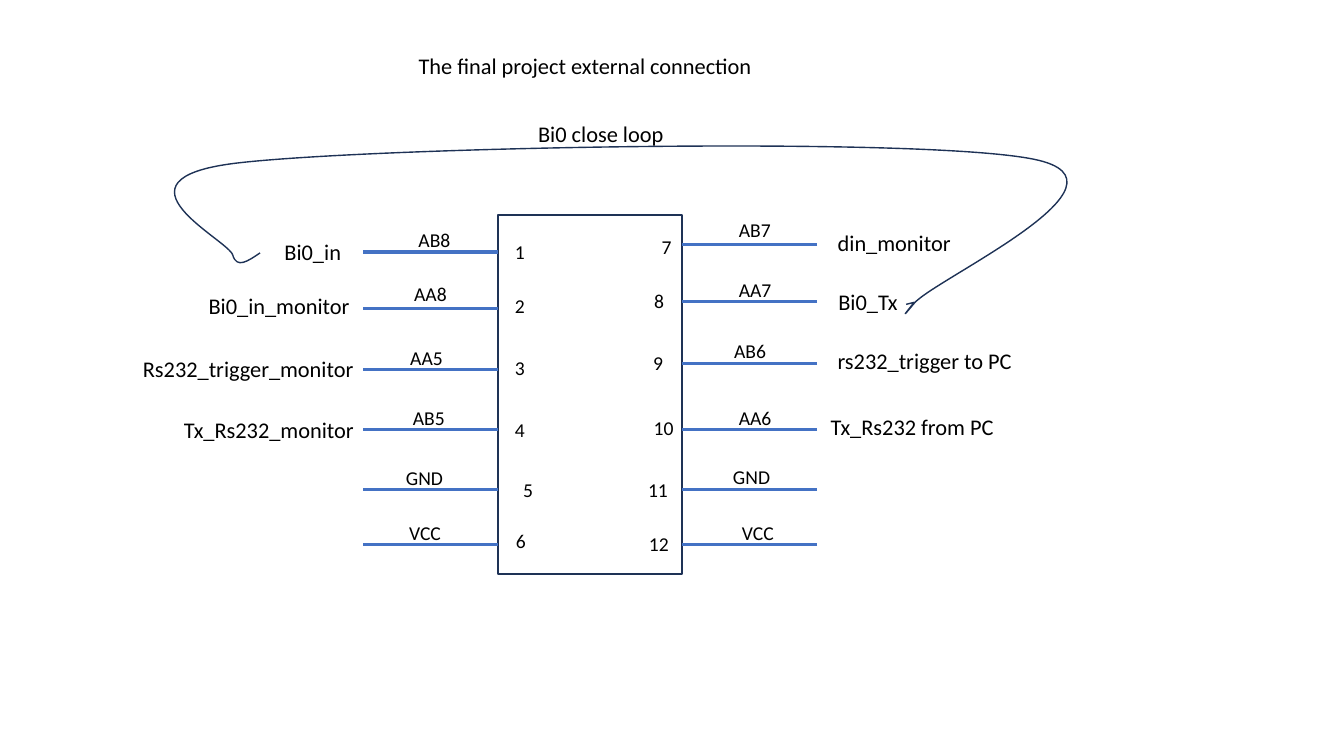
from collections import namedtuple

from lxml import etree
from pptx import Presentation
from pptx.dml.color import RGBColor
from pptx.enum.shapes import MSO_CONNECTOR as CONN, MSO_SHAPE as SHAPE
from pptx.enum.text import MSO_ANCHOR as ANCHOR, MSO_AUTO_SIZE as AUTO, PP_ALIGN as ALIGN
from pptx.oxml.ns import qn
from pptx.util import Pt

NAVY = RGBColor(0x1E, 0x32, 0x56)
BLUE = RGBColor(0x44, 0x72, 0xC4)
BLACK = RGBColor(0, 0, 0)
FONT = "Calibri"
WIRE_LENGTH = 96.2

Box = namedtuple("Box", "left top width height")
# number, code and signal hold (text, x, y[, width]),
# with x from the chip's edge and y from the wire
Pin = namedtuple("Pin", "wire_y number code signal", defaults=[None])

LEFT_PINS = [
    Pin(26.2, ("1", 5, -12.2), ("AB8", -63.9, -20.9), ("Bi0_in", -159.6, -13.7, 55.4)),
    Pin(66.5, ("2", 5, -14), ("AA8", -67, -22.3), ("Bi0_in_monitor", -213.8, -15.1, 116.6)),
    Pin(110.4, ("3", 5, -13.4), ("AA5", -69.8, -20.9), ("Rs232_trigger_monitor", -260.7, -14.4, 167)),
    Pin(152.9, ("4", 5, -11.7), ("AB5", -67.9, -20.2), ("Tx_Rs232_monitor", -231.4, -13, 141.1)),
    Pin(196.1, ("5", 11, -12.2), ("GND", -72.8, -20.9)),
    Pin(235, ("6", 5.8, -14.7), ("VCC", -70.6, -20.2)),
]
RIGHT_PINS = [
    Pin(20.9, ("7", -21.9, -10.6), ("AB7", 33.1, -22.8), ("din_monitor", 103.8, -14.6, 96.5)),
    Pin(61.5, ("8", -27.4, -12.2), ("AA7", 33.1, -20.2), ("Bi0_Tx", 104.2, -13, 61.2)),
    Pin(105.7, ("9", -28.1, -12.3), ("AB6", 29.7, -21.1), ("rs232_trigger to PC", 103.7, -15.3, 140.4)),
    Pin(152.9, ("10", -27.6, -13), ("AA6", 33.1, -20.2), ("Tx_Rs232 from PC", 98.8, -15.4, 146.9)),
    Pin(196.1, ("11", -31.7, -12.2), ("GND", 29, -21.6)),
    Pin(235, ("12", -31, -12.2), ("VCC", 35.3, -20.5)),
]

# Loop outline: start point, then two control points and an end point per curve
LOOP_START = (61.3, 76.2)
LOOP_CURVES = [
    ((52.6, 82), (44.7, 87.7), (41.8, 77.7)),
    ((38.9, 66.9), (-51.8, 23.7), (44, 12.1)),
    ((139, 0.6), (533.6, -7.3), (614.2, 9.3)),
    ((694.9, 25.8), (542.9, 94.9), (528.5, 112.2)),
    ((514.1, 129.5), (528.5, 111.5), (528.5, 111.5)),
]
LOOP_END = (522.8, 112.9)


def place(sp, box):
    sp.left, sp.top, sp.width, sp.height = (Pt(v) for v in box)


def write(sp, text, size=16, color=BLACK):
    tf = sp.text_frame
    tf.word_wrap = False
    tf.auto_size = AUTO.SHAPE_TO_FIT_TEXT
    tf.vertical_anchor = ANCHOR.TOP
    p = tf.paragraphs[0]
    p.alignment = ALIGN.LEFT
    r = p.add_run()
    r.text = text
    r.font.name, r.font.size, r.font.color.rgb = FONT, Pt(size), color


def add_label(s, text, box, **fmt):
    sp = s.shapes.add_textbox(*(Pt(v) for v in box))
    write(sp, text, **fmt)


def add_title(s, text, box):
    sp = s.shapes.title
    place(sp, box)
    write(sp, text)


def add_wire(s, x1, x2, y):
    sp = s.shapes.add_connector(CONN.STRAIGHT, Pt(x1), Pt(y), Pt(x2), Pt(y))
    sp.line.color.rgb, sp.line.width = BLUE, Pt(2.25)
    etree.SubElement(sp._element.spPr, qn("a:effectLst"))


def outline(sp, width):
    sp.shadow.inherit = False
    sp.fill.background()
    sp.line.color.rgb, sp.line.width = NAVY, Pt(width)


def add_pins(s, pins, edge, top, direction):
    """Draw the pins of one chip side; direction is -1 for left, 1 for right."""
    for pin in pins:
        y = top + pin.wire_y
        add_wire(s, edge + direction * WIRE_LENGTH, edge, y)
        number, dx, dy = pin.number
        add_label(s, number, Box(edge + dx, y + dy, 14.4 + 7.2 * len(number), 24.2), size=14)
        code, dx, dy = pin.code
        width = 41 if code == "GND" else 37.8
        add_label(s, code, Box(edge + dx, y + dy, width, 24.2), size=14)
        if pin.signal:
            signal, dx, dy, width = pin.signal
            add_label(s, signal, Box(edge + dx, y + dy, width, 26.6))


def add_chip(s, box):
    sp = s.shapes.add_shape(SHAPE.RECTANGLE, *(Pt(v) for v in box))
    outline(sp, 1.5)
    add_pins(s, LEFT_PINS, box.left, box.top, -1)
    add_pins(s, RIGHT_PINS, box.left + box.width, box.top, 1)


def add_segment(path, tag, points):
    segment = etree.SubElement(path, qn(tag))
    for x, y in points:
        etree.SubElement(segment, qn("a:pt"), x=str(Pt(x)), y=str(Pt(y)))


def add_loop(s, text, box):
    """Draw the loop as cubic curves, which the freeform builder lacks."""
    builder = s.shapes.build_freeform(0, 0)
    builder.add_line_segments([(Pt(box.width), Pt(box.height))], close=False)
    sp = builder.convert_to_shape(Pt(box.left), Pt(box.top))
    path = next(sp._element.iter(qn("a:path")))
    for segment in list(path):
        path.remove(segment)
    add_segment(path, "a:moveTo", [LOOP_START])
    for curve in LOOP_CURVES:
        add_segment(path, "a:cubicBezTo", curve)
    add_segment(path, "a:lnTo", [LOOP_END])
    outline(sp, 1)
    add_label(s, text, Box(box.left + 252.8, box.top - 22.4, 105.1, 26.6))


def main():
    prs = Presentation()
    prs.slide_width, prs.slide_height = Pt(960), Pt(540)
    s = prs.slides.add_slide(prs.slide_layouts.get_by_name("Title Only"))
    add_title(s, "The final project external connection", Box(291.8, 33.8, 259.2, 26.6))
    add_chip(s, Box(355.7, 153.8, 131.8, 256.3))
    add_loop(s, "Bi0 close loop", Box(124.5, 104.5, 637, 119.5))
    prs.save("out.pptx")


if __name__ == "__main__":
    main()
